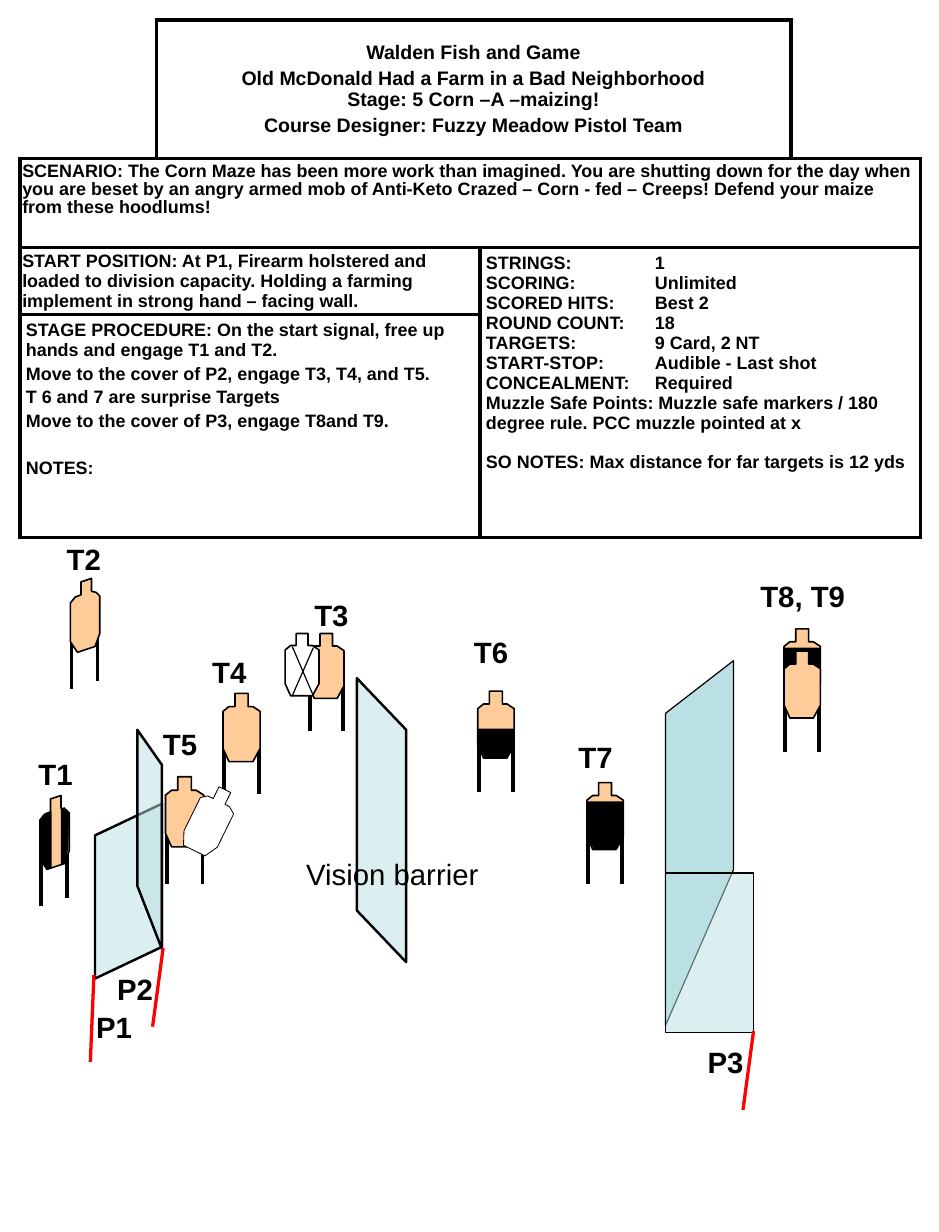
from lxml import etree
from pptx import Presentation
from pptx.dml.color import RGBColor
from pptx.enum.shapes import MSO_CONNECTOR
from pptx.enum.text import MSO_ANCHOR, PP_ALIGN
from pptx.oxml.ns import qn
from pptx.util import Cm, Pt

STRAIGHT = MSO_CONNECTOR.STRAIGHT
MIDDLE, TOP = MSO_ANCHOR.MIDDLE, MSO_ANCHOR.TOP
CENTER, LEFT = PP_ALIGN.CENTER, PP_ALIGN.LEFT
BLACK, WHITE, TAN, GLASS, RED = "000000", "FFFFFF", "FFCC99", "BBE0E3", "FF0000"

FRONT = [(.1, 0), (.21, 0), (.21, .11), (.25, .11), (.31, .15), (.31, .46),
         (.25, .57), (.05, .57), (0, .46), (0, .15), (.05, .11), (.1, .11)]
ANGLED = [(.09, .03), (.18, 0), (.18, .11), (.22, .12), (.25, .15), (.25, .47),
          (.21, .58), (.06, .63), (0, .54), (0, .21), (.04, .16), (.09, .14)]
LEFT_COVER = [(0, .54), (.06, .63), (.1, .62), (.1, .14), (.06, .15), (0, .21)]
RIGHT_COVER = [(.18, .11), (.21, .1), (.25, .15), (.24, .46), (.22, .57), (.18, .59)]

TITLE = ["Walden Fish and Game",
         "Old McDonald Had a Farm in a Bad Neighborhood\vStage: 5 Corn –A –maizing!",
         "Course Designer: Fuzzy Meadow Pistol Team"]
SCENARIO = ["SCENARIO: The Corn Maze has been more work than imagined. You are shutting "
            "down for the day when you are beset by an angry armed mob of Anti-Keto Crazed "
            "– Corn - fed – Creeps! Defend your maize from these hoodlums!"]
START = ["START POSITION: At P1, Firearm holstered and loaded to division capacity. "
         "Holding a farming implement in strong hand – facing wall."]
FACTS = ["STRINGS:\t1", "SCORING:\tUnlimited", "SCORED HITS:\tBest 2",
         "ROUND COUNT:\t18", "TARGETS:\t9 Card, 2 NT",
         "START-STOP:\tAudible - Last shot", "CONCEALMENT:\tRequired",
         "Muzzle Safe Points: Muzzle safe markers / 180 degree rule. "
         "PCC muzzle pointed at x",
         "SO NOTES: Max distance for far targets is 12 yds"]
PROCEDURE = ["STAGE PROCEDURE: On the start signal, free up hands and engage T1 and T2.",
             "Move to the cover of P2, engage T3, T4, and T5.",
             "T 6 and 7 are surprise Targets",
             "Move to the cover of P3, engage T8and T9.", "NOTES:"]


def inch(v):
    """Turn inches into a length."""
    return Cm(v * 2.54)


def rgb(color):
    """Turn a hex string into a colour."""
    return RGBColor.from_string(color)


def line(shapes, x1, y1, x2, y2, color=BLACK, width=2.25):
    """Draw a straight line."""
    c = shapes.add_connector(STRAIGHT, *map(inch, (x1, y1, x2, y2)))
    c.line.color.rgb = rgb(color)
    c.line.width = Pt(width)
    etree.SubElement(c._element.spPr, qn("a:effectLst"))


def polygon(shapes, points, fill, width=0, alpha=None):
    """Draw a closed outline with a fill and an optional border."""
    pts = [(inch(x), inch(y)) for x, y in points]
    builder = shapes.build_freeform(*pts[0])
    builder.add_line_segments(pts[1:], close=True)
    sp = builder.convert_to_shape()
    sp.shadow.inherit = False
    sp.fill.solid()
    sp.fill.fore_color.rgb = rgb(fill)
    if alpha:
        clr = sp._element.spPr.find(f"{qn('a:solidFill')}/{qn('a:srgbClr')}")
        etree.SubElement(clr, qn("a:alpha"), val=str(alpha * 1000))
    if width:
        sp.line.color.rgb = rgb(BLACK)
        sp.line.width = Pt(width)
    else:
        sp.line.fill.background()
    return sp


def placed(points, x, y, scale=1):
    """Move and scale an outline to a position."""
    return [(x + px * scale, y + py * scale) for px, py in points]


def label(s, x, y, w, text, bold=True, wrap=True):
    """Add a diagram label."""
    tf = s.shapes.add_textbox(*map(inch, (x, y, w, .4))).text_frame
    tf.word_wrap = wrap
    p = tf.paragraphs[0]
    p.text = text
    p.font.name, p.font.size, p.font.bold = "Arial", Pt(18), bold
    p.font.color.rgb = rgb(BLACK)


def front_target(s, x, y, scale=1, legs=(.42, .86), cover=None):
    """Draw a standing target, with a black cover from a given height down."""
    shapes = s.shapes.add_group_shape().shapes
    for dx in (.01, .3):
        line(shapes, x + dx * scale, y + legs[0], x + dx * scale, y + legs[1])
    polygon(shapes, placed(FRONT, x, y, scale), TAN, 1)
    if cover:
        hidden = [(0, cover), (.31, cover), (.31, .46), (.25, .57), (.06, .57), (0, .46)]
        polygon(shapes, placed(hidden, x, y), BLACK)
    return shapes


def angled_target(s, x, y, covers=()):
    """Draw a target turned sideways, with its black covers."""
    shapes = s.shapes.add_group_shape().shapes
    for dx, dy in ((.01, .51), (.23, .44)):
        line(shapes, x + dx, y + dy, x + dx, y + dy + .43)
    polygon(shapes, placed(ANGLED, x, y), TAN, 1)
    for cover in covers:
        polygon(shapes, placed(cover, x, y), BLACK)


def write_cell(cell, texts, size, margin, gap=0, align=LEFT, anchor=TOP):
    """Write paragraphs into a table cell."""
    cell.margin_left = cell.margin_right = inch(margin[0])
    cell.margin_top = cell.margin_bottom = inch(margin[1])
    cell.vertical_anchor = anchor
    tf = cell.text_frame
    for i, text in enumerate(texts):
        p = tf.paragraphs[0] if i == 0 else tf.add_paragraph()
        p.text = text
        p.alignment = align
        if i:
            p.space_before = Pt(gap)
        if "\t" in text:
            tabs = etree.SubElement(p._p.get_or_add_pPr(), qn("a:tabLst"))
            etree.SubElement(tabs, qn("a:tab"), pos=str(inch(1.44)), algn="l")
        p.font.name, p.font.size, p.font.bold = "Arial", Pt(size), True
        p.font.color.rgb = rgb(BLACK)
    return tf.paragraphs


def style_cell(cell, sides):
    """Give a cell a white fill and black borders on the named sides."""
    tcPr = cell._tc.get_or_add_tcPr()
    for side in "LRTB":
        ln = etree.SubElement(tcPr, qn(f"a:ln{side}"), w=str(Pt(2.25)))
        if side in sides:
            fill = etree.SubElement(ln, qn("a:solidFill"))
            etree.SubElement(fill, qn("a:srgbClr"), val=BLACK)
        else:
            etree.SubElement(ln, qn("a:noFill"))
    cell.fill.solid()
    cell.fill.fore_color.rgb = rgb(WHITE)


def briefing(s, x, y, cols, rows):
    """Add the stage briefing table."""
    frame = s.shapes.add_table(len(rows), len(cols), inch(x), inch(y),
                               inch(sum(cols)), inch(sum(rows)))
    t = frame.table
    t.first_row = t.horz_banding = False
    for col, w in zip(t.columns, cols):
        col.width = inch(w)
    for row, h in zip(t.rows, rows):
        row.height = inch(h)
    corners = {(0, 0): "RB", (0, 3): "LB"}
    for r in range(len(rows)):
        for c in range(len(cols)):
            style_cell(t.cell(r, c), corners.get((r, c), "LRTB"))
    for first, last in (((0, 1), (0, 2)), ((1, 0), (1, 3)), ((2, 0), (2, 1)),
                        ((2, 2), (3, 3)), ((3, 0), (3, 1))):
        t.cell(*first).merge(t.cell(*last))
    write_cell(t.cell(0, 1), TITLE, 12, (.05, .05), 2.4, CENTER, MIDDLE)
    write_cell(t.cell(1, 0), SCENARIO, 11, (.02, .04))[0].line_spacing = .9
    write_cell(t.cell(2, 0), START, 11, (.02, .03))
    write_cell(t.cell(2, 2), FACTS, 11, (.05, .05))[-1].space_before = Pt(12)
    write_cell(t.cell(3, 0), PROCEDURE, 11, (.05, .05), 2.2)[-1].space_before = Pt(17)


def walls(s):
    """Draw the glass walls and the red fault lines."""
    for points, width, alpha in (
            ([(.81, 7.12), (1.38, 6.85), (1.38, 8.07), (.81, 8.34)], 1.5, 50),
            ([(1.38, 6.52), (1.17, 6.22), (1.17, 7.55), (1.38, 8.09)], 1.5, 50),
            ([(6.25, 7.41), (5.67, 8.74), (5.67, 6.08), (6.25, 5.63)], .75, None),
            ([(6.42, 8.8), (5.67, 8.8), (5.67, 7.44), (6.42, 7.44)], .75, 50),
            ([(3.46, 6.22), (3.04, 5.78), (3.04, 7.76), (3.46, 8.2)], 1.5, 50)):
        polygon(s.shapes, points, GLASS, width, alpha)
    for ends in ((.8, 8.31, .77, 9.05), (1.39, 8.08, 1.3, 8.75), (6.42, 8.79, 6.33, 9.46)):
        line(s.shapes, *ends, RED, 2)


def targets(s):
    """Draw all targets and the two no-threat targets."""
    angled_target(s, .6, 4.93)
    angled_target(s, .34, 6.78, (LEFT_COVER, RIGHT_COVER))
    front_target(s, 1.9, 5.91, 1.02)
    t5 = front_target(s, 1.41, 6.62, 1.05, (.16, .91))
    polygon(t5, placed(FRONT, 1.63, 6.7, 1.02), WHITE, .5).rotation = 26.2
    t3 = front_target(s, 2.63, 5.4, .97, (.41, .83))
    polygon(t3, placed(FRONT, 2.43, 5.4, .93), WHITE, 1)
    line(t3, 2.49, 5.51, 2.67, 5.93, width=.75)
    line(t3, 2.67, 5.52, 2.49, 5.93, width=.75)
    front_target(s, 5, 6.67, cover=.16)
    front_target(s, 4.07, 5.89, cover=.32)
    t8 = front_target(s, 6.68, 5.36, legs=(.42, 1.05), cover=.16)
    polygon(t8, placed(FRONT, 6.68, 5.55), TAN, 1)


def labels(s):
    """Name the positions, the targets and the barrier."""
    for x, y, w, text in ((.72, 8.55, .58, "P1"), (.9, 8.23, .58, "P2"),
                          (5.93, 8.85, .58, "P3"), (.23, 6.4, .76, "T1"),
                          (.47, 4.56, .76, "T2"), (2.58, 5.04, .76, "T3"),
                          (1.71, 5.53, .76, "T4"), (1.29, 6.14, .76, "T5"),
                          (3.94, 5.36, .76, "T6"), (4.83, 6.25, .76, "T7"),
                          (6.38, 4.88, 1.16, "T8, T9")):
        label(s, x, y, w, text)
    label(s, 2.51, 7.25, 1.68, "Vision barrier", bold=False, wrap=False)


def main():
    """Build the stage sheet."""
    prs = Presentation()
    prs.slide_width, prs.slide_height = inch(8), inch(10.5)
    s = prs.slides.add_slide(prs.slide_layouts[6])
    briefing(s, .17, .17, (1.16, 2.76, 2.65, 1.1), (1.18, .76, .49, 1.9))
    walls(s)
    targets(s)
    labels(s)
    prs.save("out.pptx")


if __name__ == "__main__":
    main()
